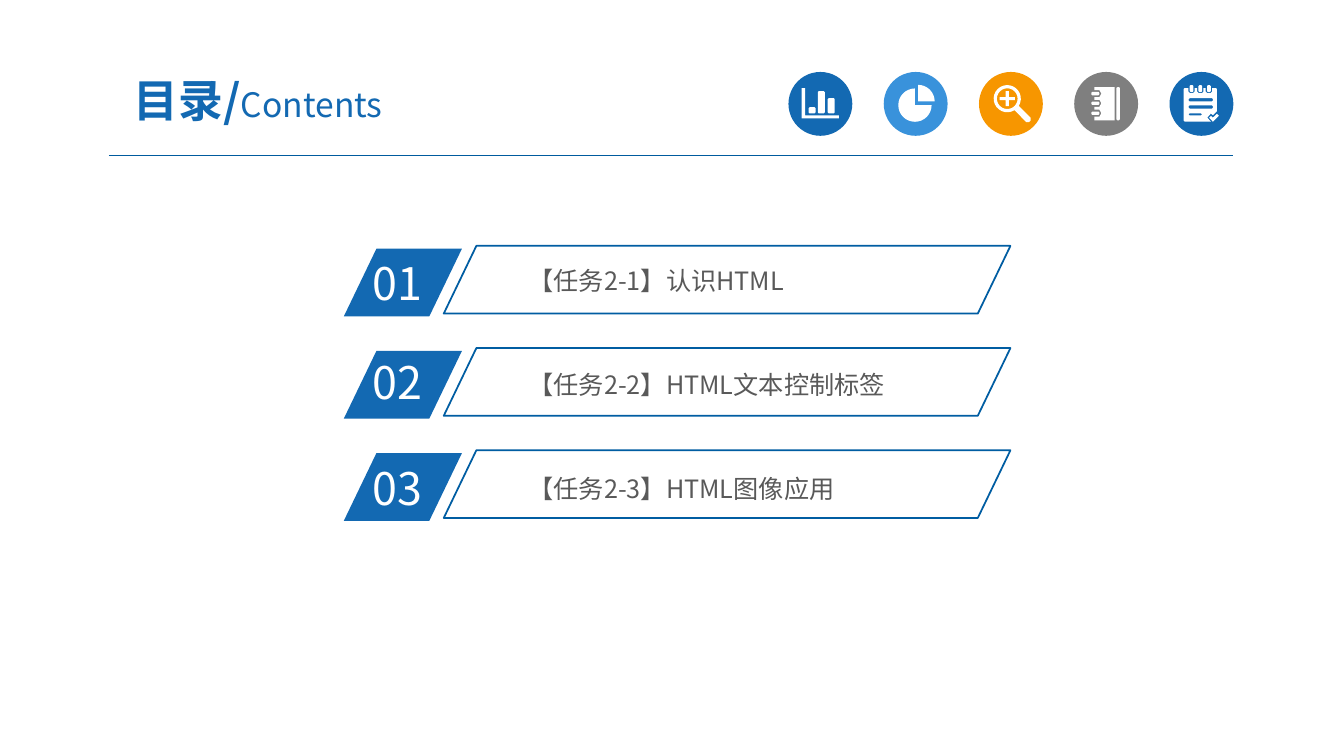
from math import cos, radians, sin

from lxml.etree import SubElement
from pptx import Presentation
from pptx.dml.color import RGBColor
from pptx.enum.shapes import MSO_CONNECTOR, MSO_SHAPE
from pptx.enum.text import MSO_ANCHOR, PP_ALIGN
from pptx.oxml.ns import qn
from pptx.util import Pt

FONT = "Noto Sans CJK SC"
BLUE, SKY, ORANGE, GREY, WHITE = "1369B2", "3992DB", "F79600", "7F7F7F", "FFFFFF"
RULE, OUTLINE, TEXT = "005B9E", "005DA2", "595959"
SLANT = 0.482
BADGE_LEFT, BADGE_TOP, BADGE_STEP, BADGE_SIZE = 563.2, 51.4, 68.04, 45.6
ROW_TOP, ROW_STEP, ROW_HEIGHT = 175.6, 73, 48.4

# number, top of number, task, top of task
ROWS = [
    ("01", 179, "【任务2-1】认识HTML", 186.7),
    ("02", 249.8, "【任务2-2】HTML文本控制标签", 260.6),
    ("03", 325.4, "【任务2-3】HTML图像应用", 335.5),
]


def rgb(value):
    return RGBColor.from_string(value)


def paint(sp, fill=None, line=None, width=1):
    sp.shadow.inherit = False
    if fill:
        sp.fill.solid()
        sp.fill.fore_color.rgb = rgb(fill)
    else:
        sp.fill.background()
    if line:
        sp.line.color.rgb = rgb(line)
        sp.line.width = Pt(width)
    else:
        sp.line.fill.background()


def add_shape(s, kind, box, fill=None, line=None, width=1, adj=()):
    sp = s.shapes.add_shape(kind, *map(Pt, box))
    for i, value in enumerate(adj):
        sp.adjustments[i] = value
    paint(sp, fill, line, width)


def add_text(s, box, runs, color, align=PP_ALIGN.LEFT, anchor=MSO_ANCHOR.TOP,
             inset=(7.2, 3.6)):
    """Add one paragraph; runs holds (text, size, bold)."""
    tf = s.shapes.add_textbox(*map(Pt, box)).text_frame
    x, y = map(Pt, inset)
    frame = {"word_wrap": True, "vertical_anchor": anchor, "margin_left": x,
             "margin_right": x, "margin_top": y, "margin_bottom": y}
    for name, value in frame.items():
        setattr(tf, name, value)
    p = tf.paragraphs[0]
    p.alignment = align
    for text, size, bold in runs:
        r = p.add_run()
        r.text = text
        for name, value in {"name": FONT, "size": Pt(size), "bold": bold}.items():
            setattr(r.font, name, value)
        r.font.color.rgb = rgb(color)
        SubElement(r.font._element, qn("a:ea"), typeface=FONT)


def add_rule(s, x1, x2, y):
    line = s.shapes.add_connector(MSO_CONNECTOR.STRAIGHT, Pt(x1), Pt(y), Pt(x2), Pt(y))
    line.line.color.rgb = rgb(RULE)
    line.line.width = Pt(0.75)
    SubElement(line._element.spPr, qn("a:effectLst"))


def bar(left, top, width, height, cut=0.7):
    """Outline of a bar with its corners cut."""
    right, bottom = left + width, top + height
    return [(left + cut, top), (right - cut, top), (right, top + cut),
            (right, bottom - cut), (right - cut, bottom), (left + cut, bottom),
            (left, bottom - cut), (left, top + cut)]


def arc(cx, cy, radius, start=0, end=360, steps=24):
    angles = [radians(start + (end - start) * i / steps) for i in range(steps + 1)]
    return [(cx + radius * cos(a), cy + radius * sin(a)) for a in angles]


def bar_chart():
    axes = [(9.4, 11.5), (12, 11.5), (12, 31), (36, 31), (36, 33.2), (9.4, 33.2)]
    bars = [(14.4, 25.2), (21, 13.7), (28.1, 18.7)]
    return [axes] + [bar(left, top, 5, 29.6 - top) for left, top in bars]


def pie():
    return [[(22.3, 23.7)] + arc(22.3, 23.7, 11.9, 0, 270),
            [(24.5, 21.1)] + arc(24.5, 21.1, 11.9, 270, 360, 8)]


def magnifier():
    cx, cy, reach, half = 20.2, 19.1, 5.4, 1.1
    handle = [(36.9, 32.7), (36.9, 34.6), (35.7, 35.8), (33.8, 35.8)]
    plus = [(reach, half), (half, half), (half, reach), (-half, reach),
            (-half, half), (-reach, half), (-reach, -half), (-half, -half),
            (-half, -reach), (half, -reach), (half, -half), (reach, -half)]
    return [arc(cx, cy, 9.7, 58, 392) + handle, arc(cx, cy, 7.4),
            [(cx + x, cy + y) for x, y in plus]]


def notebook():
    cover, rings = [(28.8, 34.6), (28.8, 10.8), (14.4, 10.8)], []
    for middle in (15.5, 22.4, 29.5):
        top, bottom = middle - 2.5, middle + 2.5
        cover += [(14.4, top), (18, top), (19.4, middle), (18, bottom), (14.4, bottom)]
        rings.append(bar(12.2, middle - 1.2, 5.8, 2.4))
    return [cover + [(14.4, 34.6)], bar(30.2, 10.8, 2.4, 23.8)] + rings


def notepad():
    sheet, pegs = [(10.1, 34.6), (10.1, 12.2), (10.8, 11.5)], []
    for left in (14.4, 20.7, 26.8):
        a, b = left - 0.9, left + 3.6
        sheet += [(a, 11.5), (a, 14), (a + 1.2, 15.2), (b - 1.2, 15.2), (b, 14), (b, 11.5)]
        pegs.append(bar(left, 9.4, 2.7, 5))
    sheet += [(33.2, 11.5), (33.9, 12.2), (33.9, 28), (31, 30.9), (29.6, 29.7),
              (27, 32.6), (29.5, 35.4), (10.8, 35.4)]
    lines = [bar(13.7, 18.7, 17.3, 2.4), bar(13.7, 23.8, 17.3, 2.4),
             bar(13.7, 29.5, 9.4, 1.6)]
    tick = [(28.3, 32.7), (29.6, 31.4), (31, 32.6), (33.8, 29.9), (35.3, 31.2), (31, 35.5)]
    return [sheet, tick] + pegs + lines


def add_icon(s, x, outlines):
    """Draw the outlines as one shape; an outline inside another is a hole."""
    fb = None
    for outline in outlines:
        first, *rest = [(Pt(x + px), Pt(BADGE_TOP + py)) for px, py in outline]
        if fb:
            fb.move_to(*first)
        else:
            fb = s.shapes.build_freeform(*first)
        fb.add_line_segments(rest, close=True)
    paint(fb.convert_to_shape(), WHITE)


def add_badges(s):
    badges = [(BLUE, bar_chart), (SKY, pie), (ORANGE, magnifier), (GREY, notebook),
              (BLUE, notepad)]
    for i, (color, icon) in enumerate(badges):
        x = BADGE_LEFT + i * BADGE_STEP
        add_shape(s, MSO_SHAPE.OVAL, (x, BADGE_TOP, BADGE_SIZE, BADGE_SIZE), color)
        add_icon(s, x, icon())


def add_row(s, i, number, number_top, task, task_top):
    top = ROW_TOP + i * ROW_STEP
    add_shape(s, MSO_SHAPE.PARALLELOGRAM, (245.6, top + 2, 84.4, ROW_HEIGHT), BLUE,
              adj=(SLANT,))
    add_text(s, (259.2, number_top, 80.6, 46), [(number, 32, False)], WHITE)
    add_text(s, (372.6, task_top, 329, 27.4), [(task, 18, False)], TEXT, inset=(5, 2.9))
    add_shape(s, MSO_SHAPE.PARALLELOGRAM, (317, top, 404.8, ROW_HEIGHT), line=OUTLINE,
              width=1.25, adj=(SLANT,))


def main():
    prs = Presentation()
    prs.slide_width, prs.slide_height = Pt(960), Pt(540)
    s = prs.slides.add_slide(prs.slide_layouts[6])
    add_rule(s, 77.8, 880.6, 111.2)
    add_badges(s)
    add_text(s, (66, 45.4, 236.9, 51.8), [("目录/", 32, True), ("Contents", 24, False)],
             BLUE, PP_ALIGN.CENTER, MSO_ANCHOR.MIDDLE, (9.4, 5))
    for i, row in enumerate(ROWS):
        add_row(s, i, *row)
    prs.save("out.pptx")


if __name__ == "__main__":
    main()
